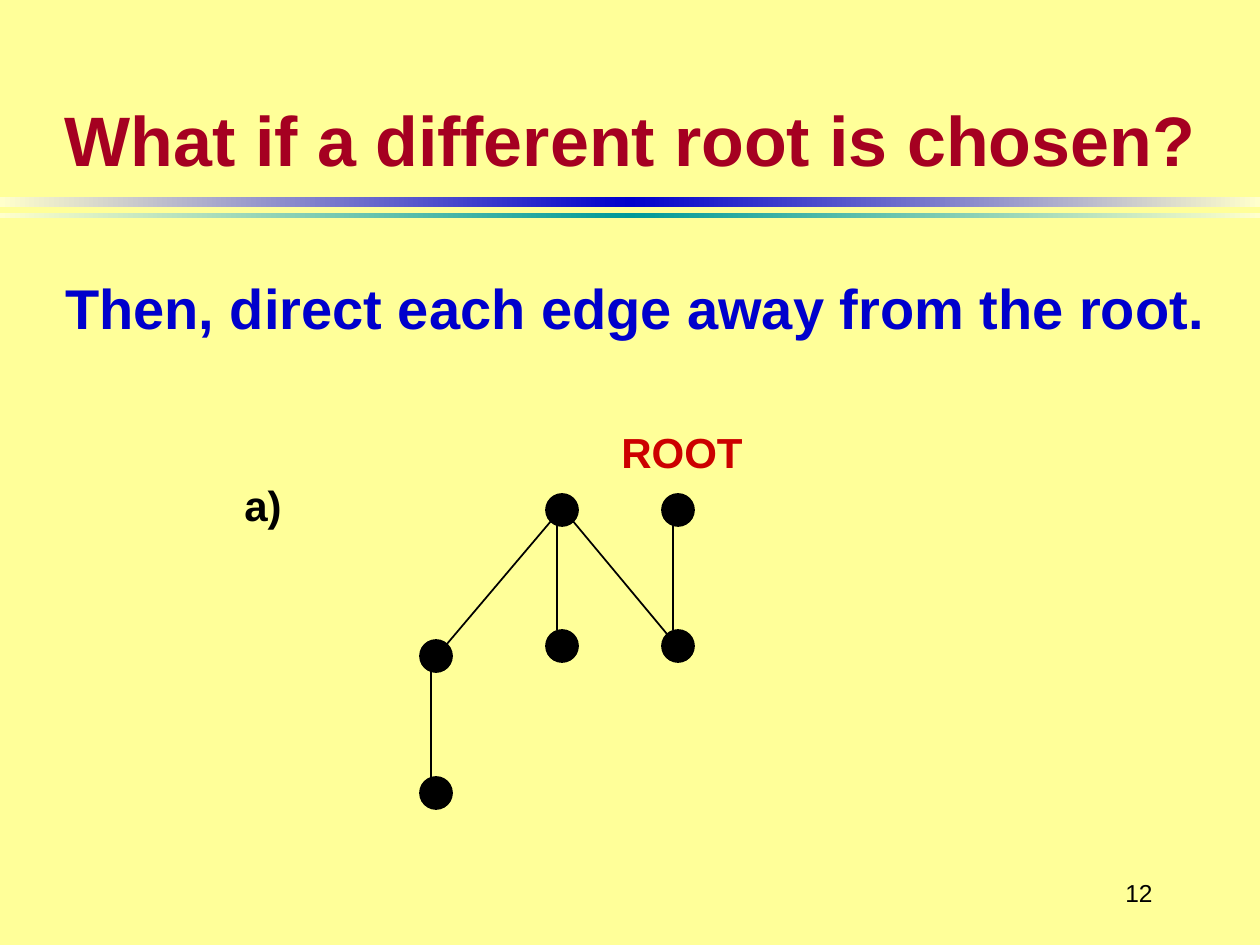
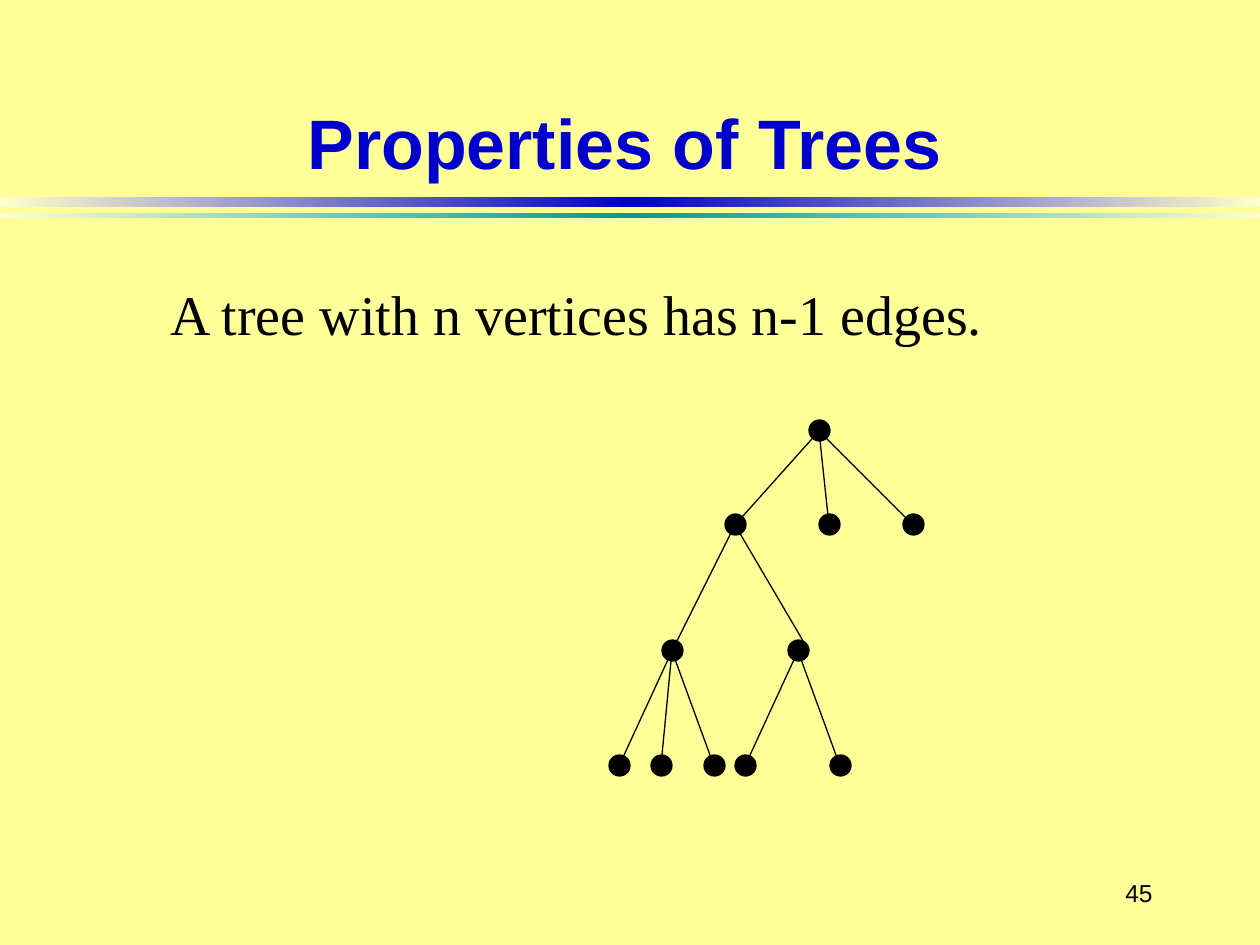
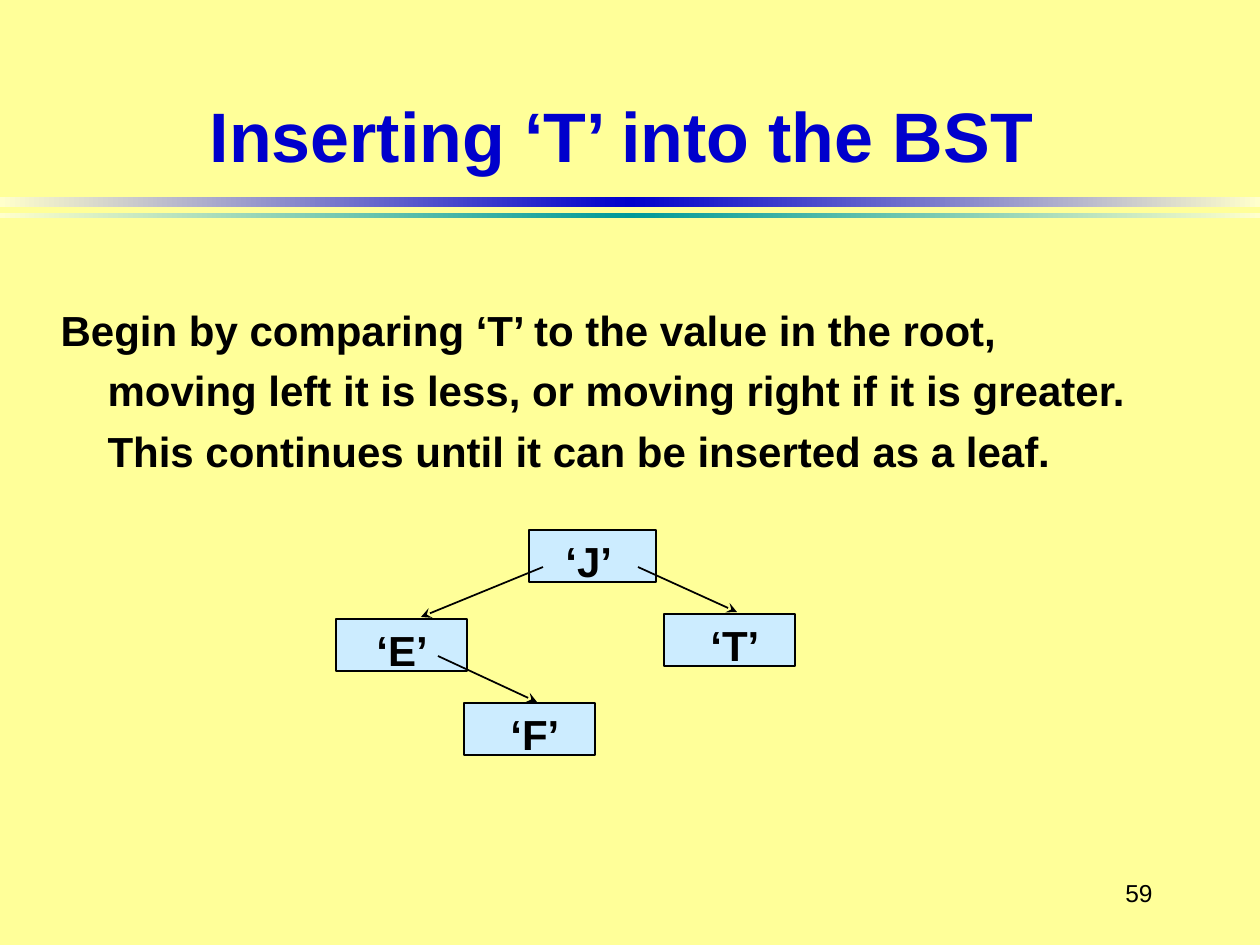
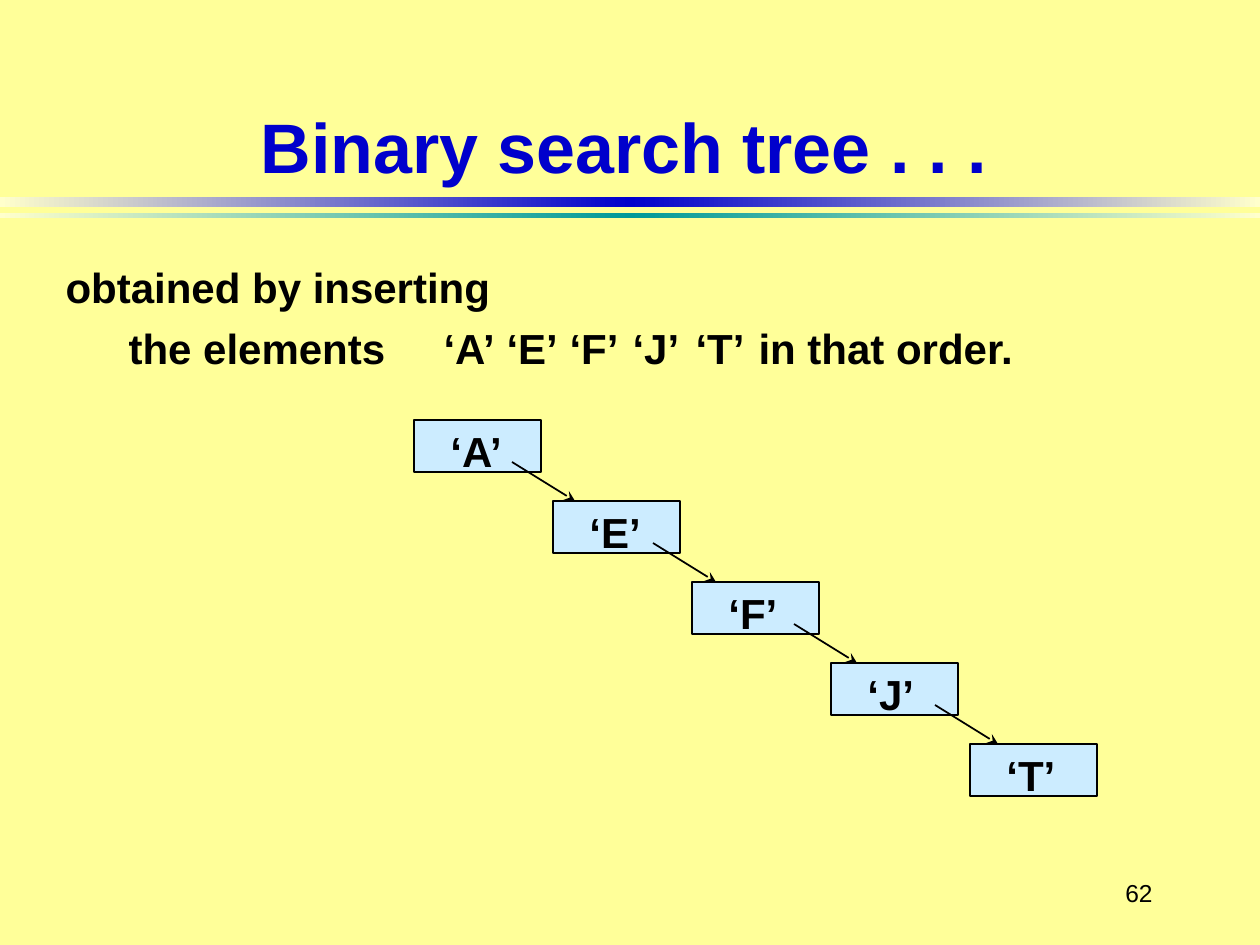
from copy import deepcopy
from dataclasses import dataclass

from lxml.etree import SubElement
from pptx import Presentation
from pptx.dml.color import RGBColor
from pptx.enum.shapes import MSO_CONNECTOR, MSO_SHAPE
from pptx.enum.text import MSO_ANCHOR, MSO_AUTO_SIZE, PP_ALIGN
from pptx.oxml.ns import qn
from pptx.util import Emu, Pt

PX_PER_INCH = 126


def px(length):
    return Emu(round(length * 914400 / PX_PER_INCH))


@dataclass(frozen=True)
class Theme:
    sans: str = "Arial"
    serif: str = "Times New Roman"
    paper: str = "FFFF99"
    band_edge: str = "FFFFCC"
    band_teal: str = "009999"
    blue: str = "0000CC"
    crimson: str = "A50021"
    red: str = "CC0000"
    ink: str = "000000"
    node: str = "CCECFF"
    title_size: int = 40
    lead_size: int = 32
    text_size: int = 24
    number_size: int = 14


THEME = Theme()


def write(shape, *lines, size=THEME.text_size, color=THEME.ink, font=THEME.sans,
          bold=True, align=PP_ALIGN.LEFT, anchor=MSO_ANCHOR.TOP, wrap=True,
          margin=0, hanging=0, tabs=(), spacing=None, gap=0):
    frame = shape.text_frame
    frame.word_wrap = wrap
    frame.auto_size = MSO_AUTO_SIZE.NONE
    frame.vertical_anchor = anchor
    for index, line in enumerate(lines):
        paragraph = frame.add_paragraph() if index else frame.paragraphs[0]
        properties = paragraph._p.get_or_add_pPr()
        properties.set("marL", str(px(margin)))
        properties.set("indent", str(-px(hanging)))
        SubElement(properties, qn("a:buNone"))
        if tabs:
            stops = SubElement(properties, qn("a:tabLst"))
            for stop in tabs:
                SubElement(stops, qn("a:tab"), pos=str(px(stop)), algn="l")
        paragraph.alignment = align
        paragraph.space_before = Pt(gap if index else 0)
        if spacing:
            paragraph.line_spacing = spacing
        run = paragraph.add_run()
        run.text = line
        run.font.name = font
        run.font.size = Pt(size)
        run.font.bold = bold
        run.font.color.rgb = RGBColor.from_string(color)


class Deck:
    def __init__(self, theme):
        self.theme = theme
        self.presentation = Presentation()
        self.presentation.slide_width = px(1260)
        self.presentation.slide_height = px(945)
        self.slide = None
        background = self.presentation.slide_master.background.fill
        background.solid()
        background.fore_color.rgb = RGBColor.from_string(theme.paper)

    def new_slide(self, number, title, box, color=None, with_body=False):
        first = self.slide is None
        layout = self.presentation.slide_layouts[1 if with_body else 5]
        self.slide = self.presentation.slides.add_slide(layout)
        if first:
            self.master_band(197, 10, self.theme.blue, 101)
            self.master_band(213, 5, self.theme.band_teal, 102)
        heading = self.place(self.slide.shapes.title, box)
        write(heading, title, size=self.theme.title_size,
              color=color or self.theme.blue,
              align=PP_ALIGN.CENTER, anchor=MSO_ANCHOR.BOTTOM)
        self.label(number, (1081, 861, 84, 63), size=self.theme.number_size,
                   bold=False, align=PP_ALIGN.RIGHT, anchor=MSO_ANCHOR.MIDDLE)

    def place(self, shape, box):
        shape.left, shape.top, shape.width, shape.height = map(px, box)
        return shape

    def preset(self, kind, box):
        shape = self.slide.shapes.add_shape(kind, *map(px, box))
        shape.shadow.inherit = False
        return shape

    def master_band(self, top, height, middle, shape_id):
        band = self.preset(MSO_SHAPE.RECTANGLE, (0, top, 1260, height))
        band.line.fill.background()
        band.fill.gradient()
        band.fill.gradient_angle = 0
        stops = band.element.spPr.find(qn("a:gradFill")).find(qn("a:gsLst"))
        stops.append(deepcopy(stops[-1]))
        colors = (self.theme.band_edge, middle, self.theme.band_edge)
        for stop, position, color in zip(band.fill.gradient_stops, (0, 0.5, 1), colors):
            stop.position = position
            stop.color.rgb = RGBColor.from_string(color)
        band.element.nvSpPr.cNvPr.id = shape_id
        self.presentation.slide_master.shapes.element.append(band.element)

    def body(self, box, *lines, **style):
        write(self.place(self.slide.placeholders[1], box), *lines, **style)

    def label(self, text, box, **style):
        write(self.slide.shapes.add_textbox(*map(px, box)), text, **style)

    def outlined(self, kind, box, fill, weight):
        shape = self.preset(kind, box)
        shape.fill.solid()
        shape.fill.fore_color.rgb = RGBColor.from_string(fill)
        shape.line.color.rgb = RGBColor.from_string(self.theme.ink)
        shape.line.width = Pt(weight)

    def vertex(self, left, top, diameter, weight=1):
        self.outlined(MSO_SHAPE.OVAL, (left, top, diameter, diameter),
                      self.theme.ink, weight)

    def edge(self, start, end, weight=1, arrow=False):
        line = self.slide.shapes.add_connector(
            MSO_CONNECTOR.STRAIGHT, *map(px, (*start, *end)))
        line.line.color.rgb = RGBColor.from_string(self.theme.ink)
        line.line.width = Pt(weight)
        if arrow:
            SubElement(line.line._get_or_add_ln(), qn("a:tailEnd"), type="stealth")
        SubElement(line.element.spPr, qn("a:effectLst"))

    def node(self, letter, left, top, width=127, inset=24):
        self.outlined(MSO_SHAPE.RECTANGLE, (left, top, width, 52), self.theme.node, 1)
        self.label(f"‘{letter}’", (left + inset, top - 1, 80, 63))


def different_root(deck):
    deck.new_slide("12", "What if a different root is chosen?", (0, 29, 1260, 158),
                   color=THEME.crimson)
    for left, top, bottom in ((420, 640, 777), (546, 494, 630), (662, 494, 630)):
        deck.vertex(left, top, 32)
        deck.vertex(left, bottom, 32)
        deck.edge((left + 11, top + 31), (left + 11, bottom))
    deck.edge((567, 514), (672, 640))
    deck.edge((557, 514), (441, 651))
    deck.label("a)", (232, 473, 64, 63))
    deck.label("ROOT", (609, 420, 150, 63), color=THEME.red)
    deck.label("Then, direct each edge away from the root.", (32, 231, 1207, 116),
               size=THEME.lead_size, color=THEME.blue,
               align=PP_ALIGN.CENTER, anchor=MSO_ANCHOR.BOTTOM)


def tree_properties(deck):
    deck.new_slide("45", "Properties of Trees", (84, 32, 1081, 158))
    deck.label("A tree with n vertices has n-1 edges.", (158, 273, 1029, 81),
               size=THEME.lead_size, font=THEME.serif, bold=False)
    root, branch = (819, 431), (735, 525)
    left_fork, right_fork = (672, 651), (798, 651)
    children = {
        root: (branch, (829, 525), (913, 525)),
        branch: (left_fork, (809, 651)),
        left_fork: tuple((x, 766) for x in (619, 661, 714)),
        right_fork: tuple((x, 766) for x in (745, 840)),
    }
    for parent, ends in children.items():
        for end in ends:
            deck.edge(parent, end, weight=0.75)
    leaves = children[root][1:] + children[left_fork] + children[right_fork]
    for x, y in (*children, *leaves):
        deck.vertex(x - 10, y - 11, 21, weight=0.75)


def insert_t(deck):
    deck.new_slide("59", "Inserting ‘T’ into the BST", (44, 47, 1155, 136),
                   with_body=True)
    deck.body((48, 288, 1118, 176),
              "Begin by comparing ‘T’ to the value in the root, moving left it is less, "
              "or moving right if it is greater. This continues until it can be "
              "inserted as a leaf.",
              margin=47, hanging=47, spacing=1.2)
    deck.node("J", 529, 530)
    deck.node("E", 336, 619, width=131, inset=28)
    deck.node("F", 464, 703, width=131, inset=34)
    deck.node("T", 664, 614, width=131, inset=34)
    for parent, child in (((543, 567), (421, 617)),
                          ((638, 567), (737, 612)),
                          ((438, 656), (537, 702))):
        deck.edge(parent, child, arrow=True)


def ordered_insertion(deck):
    deck.new_slide("62", "Binary search tree . . .", (73, 58, 1102, 136),
                   with_body=True)
    deck.body((53, 255, 1124, 622), "obtained by inserting",
              "\tthe elements\t‘A’\t‘E’\t‘F’\t‘J’\t‘T’\tin that order.",
              tabs=(12, 303, 387, 471, 541, 608, 702), gap=6)
    letters = "AEFJT"
    for step, letter in enumerate(letters):
        deck.node(letter, 414 + 139 * step, 420 + 81 * step)
    for step in range(len(letters) - 1):
        x, y = 512 + 141 * step, 462 + 81 * step
        deck.edge((x, y), (x + 63, y + 39), arrow=True)


def main():
    deck = Deck(THEME)
    for build in (different_root, tree_properties, insert_t, ordered_insertion):
        build(deck)
    deck.presentation.save("out.pptx")


if __name__ == "__main__":
    main()
